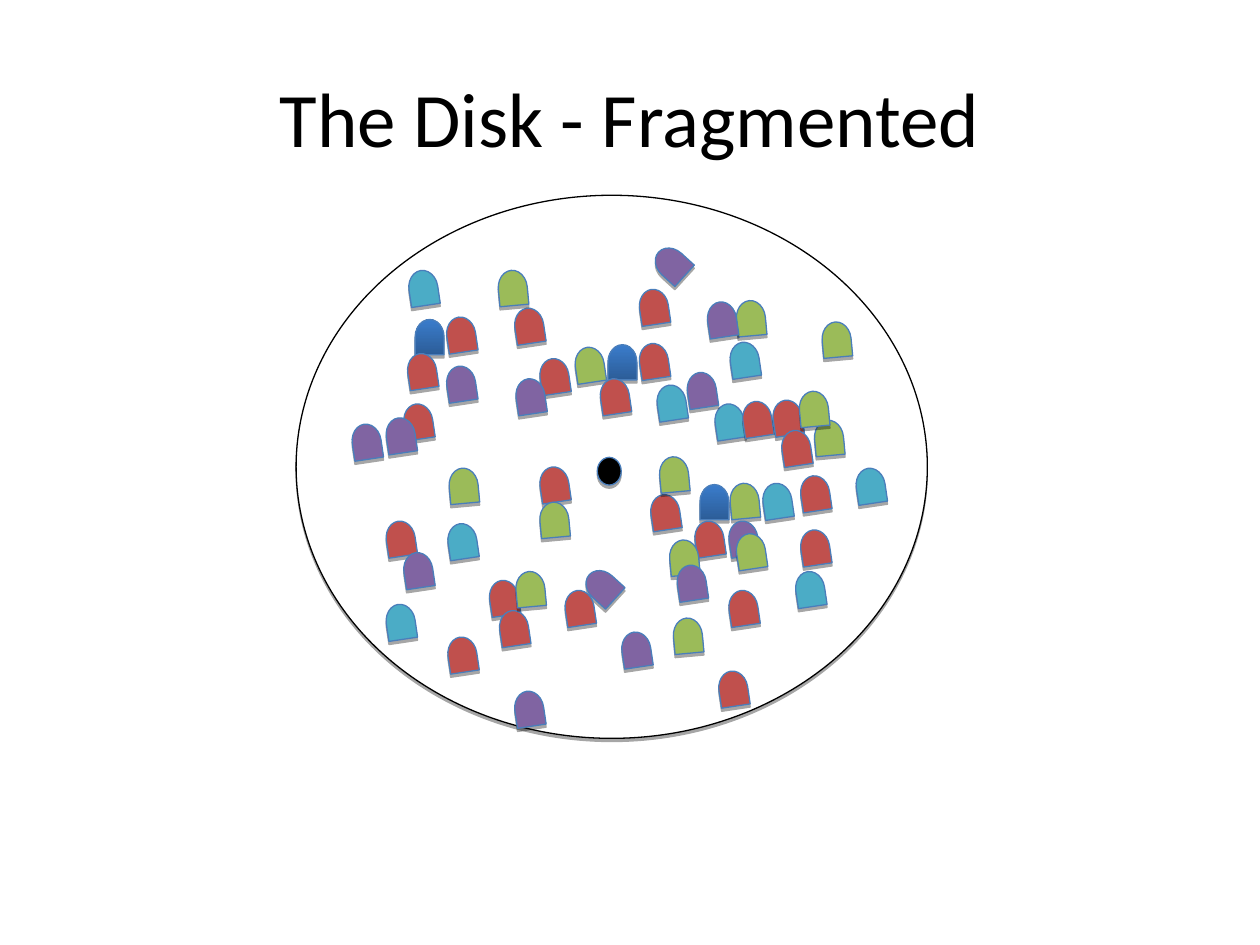
from lxml import etree
from pptx import Presentation
from pptx.dml.color import RGBColor
from pptx.enum.shapes import MSO_SHAPE
from pptx.enum.text import MSO_ANCHOR, PP_ALIGN
from pptx.oxml.ns import qn
from pptx.util import Inches, Pt

ELLIPSE, BLOCK = MSO_SHAPE.OVAL, MSO_SHAPE.FLOWCHART_DELAY

# Content
TITLE = "The Disk - Fragmented"
BLACK, WHITE, OUTLINE = "000000", "FFFFFF", "4A7EBB"
BLUE_GRADIENT = ("2C5D98", "3A7CCB")
BLOCK_SIZE = (0.28, 0.23)

# File of each block: fill, rotation
FILES = {
    "blue": (BLUE_GRADIENT, 270),
    "green": ("9BBB59", 264.7),
    "green leaning": ("9BBB59", 261.5),
    "red": ("C0504D", 261.5),
    "teal": ("4BACC6", 261.5),
    "purple": ("8064A2", 261.5),
    "purple tipped": ("8064A2", 222.3),
}

# Blocks from back to front: file, (left, top) of each fragment
FRAGMENTS = [
    ("blue", [(4.8, 2.76), (5.53, 3.87)]),
    ("green leaning", [(4.54, 2.78)]),
    ("green", [(5.77, 3.86)]),
    ("purple tipped", [(5.19, 1.98)]),
    ("purple", [(4.91, 5.04)]),
    ("teal", [(5.65, 3.23)]),
    ("red", [(3.53, 5.08), (3.86, 4.63), (3.94, 4.87), (4.06, 2.47),
             (5.05, 2.32), (4.26, 3.73), (5.76, 4.71)]),
    ("green", [(5.32, 4.93), (3.54, 3.74)]),
    ("teal", [(6.03, 3.86)]),
    ("red", [(3.18, 3.23), (4.26, 2.87), (4.74, 3.03), (5.49, 4.16),
             (5.05, 2.75), (3.04, 4.16)]),
    ("green", [(4.26, 4.01), (5.29, 4.31), (4.07, 4.56), (3.93, 2.17)]),
    ("teal", [(3.04, 4.82), (3.53, 4.18), (5.19, 3.08)]),
    ("purple", [(4.06, 5.51), (5.76, 4.16), (4.07, 3.03), (3.04, 3.34),
                (3.18, 4.41)]),
    ("red", [(5.87, 3.21), (6.11, 3.2), (6.18, 3.44)]),
    ("green", [(6.5, 2.58), (6.44, 3.36), (6.32, 3.13)]),
    ("teal", [(5.77, 2.74)]),
    ("purple", [(5.43, 2.98)]),
    ("green leaning", [(5.82, 4.26)]),
    ("purple tipped", [(4.64, 4.54)]),
    ("red", [(5.14, 3.95), (6.33, 3.8), (4.46, 4.71), (5.68, 5.35),
             (6.33, 4.23)]),
    ("green", [(5.21, 3.65)]),
    ("teal", [(6.29, 4.56), (6.77, 3.74)]),
    ("purple", [(5.35, 4.51), (3.52, 2.93), (2.77, 3.39)]),
    ("green", [(5.82, 2.41)]),
    ("purple", [(5.59, 2.42)]),
    ("teal", [(3.22, 2.17)]),
    ("blue", [(3.27, 2.56)]),
    ("red", [(3.21, 2.83), (3.52, 2.54)]),
]


def rgb(hex_colour):
    return RGBColor.from_string(hex_colour)


def add_drop_shadow(shape):
    shape.shadow.inherit = False
    effects = shape._element.spPr.find(qn("a:effectLst"))
    shadow = etree.SubElement(effects, qn("a:outerShdw"), blurRad="0",
                              dist=str(Pt(1.8)), dir="5400000", rotWithShape="0")
    colour = etree.SubElement(shadow, qn("a:srgbClr"), val=BLACK)
    etree.SubElement(colour, qn("a:alpha"), val="35000")


def add_part(kind, box, fill, line, rotation=0):
    part = slide.shapes.add_shape(kind, *map(Inches, box))
    part.rotation = rotation
    if isinstance(fill, tuple):
        part.fill.gradient()
        part.fill.gradient_angle = 0
        for stop, colour in zip(part.fill.gradient_stops, fill):
            stop.color.rgb = rgb(colour)
    else:
        part.fill.solid()
        part.fill.fore_color.rgb = rgb(fill)
    part.line.color.rgb = rgb(line)
    part.line.width = Pt(0.75)
    add_drop_shadow(part)


deck = Presentation()
deck.slide_width, deck.slide_height = Inches(10), Inches(7.5)
slide = deck.slides.add_slide(deck.slide_layouts[6])

# Disk
add_part(ELLIPSE, (2.35, 1.55, 5.01, 4.31), WHITE, BLACK)

# Title
title = slide.shapes.add_textbox(*map(Inches, (0.5, 0.3, 9, 1.25)))
frame = title.text_frame
frame.word_wrap = True
frame.vertical_anchor = MSO_ANCHOR.MIDDLE
frame.text = TITLE
heading = frame.paragraphs[0]
heading.alignment = PP_ALIGN.CENTER
heading.font.name = "Calibri"
heading.font.size = Pt(44)
heading.font.color.rgb = rgb(BLACK)

# Spindle
add_part(ELLIPSE, (4.74, 3.63, 0.19, 0.22), BLACK, OUTLINE)

# File fragments
for file, places in FRAGMENTS:
    fill, rotation = FILES[file]
    for place in places:
        add_part(BLOCK, place + BLOCK_SIZE, fill, OUTLINE, rotation)

deck.save("out.pptx")
